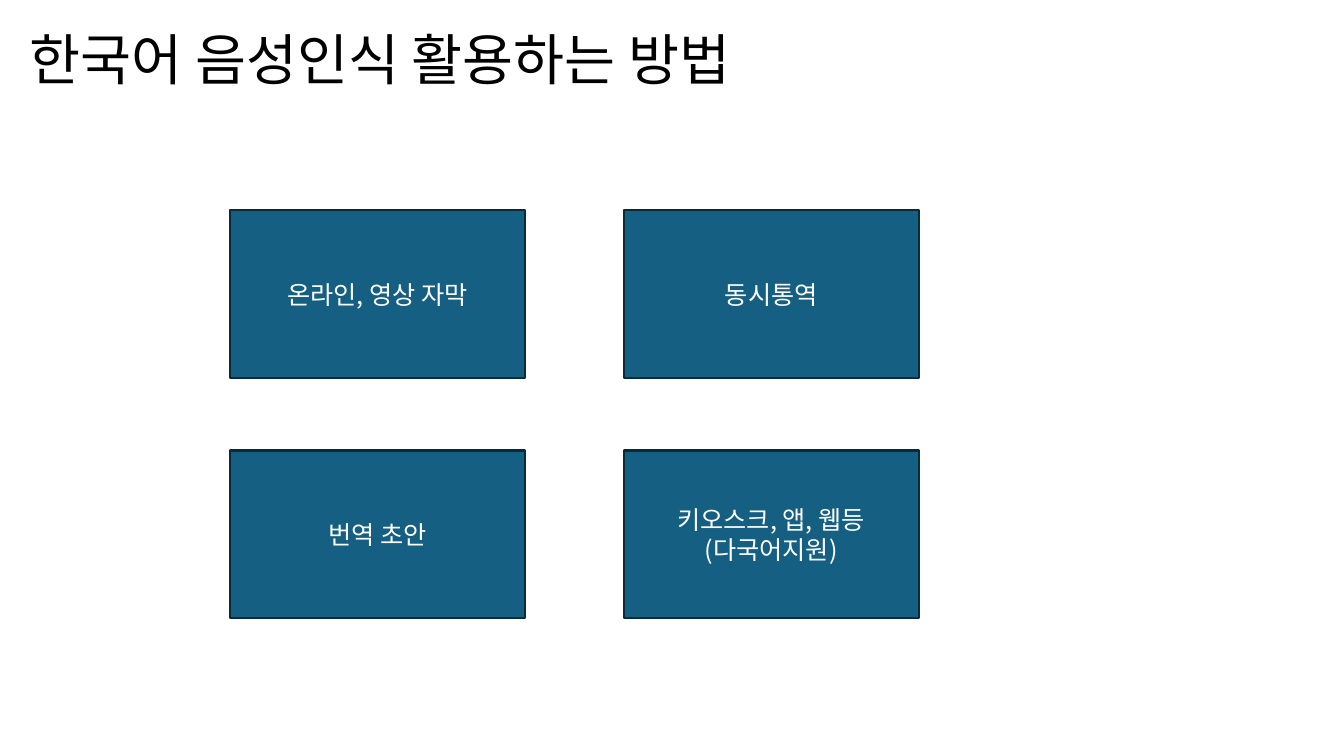
from dataclasses import dataclass

from lxml.etree import SubElement
from pptx import Presentation
from pptx.dml.color import RGBColor
from pptx.enum.shapes import MSO_SHAPE
from pptx.enum.text import MSO_ANCHOR, PP_ALIGN
from pptx.oxml.ns import qn
from pptx.slide import Slide
from pptx.text.text import TextFrame
from pptx.util import Emu, Pt

EMU_PER_PX = 9525


@dataclass(frozen=True)
class Theme:
    font: str = "Noto Sans CJK KR"
    title_color: str = "000000"
    card_fill: str = "156082"
    card_line: str = "092A39"
    card_text: str = "FFFFFF"
    title_size: float = 39.6
    card_size: float = 18
    card_line_width: float = 1.5


@dataclass(frozen=True)
class Card:
    column: int
    row: int
    text: str


THEME = Theme()

# Card grid, in px
GRID_LEFT, GRID_TOP = 219, 200
CARD_WIDTH, CARD_HEIGHT = 281, 160
COLUMN_STEP, ROW_STEP = 375, 229

TITLE = "한국어 음성인식 활용하는 방법"
CARDS = [
    Card(0, 0, "온라인, 영상 자막"),
    Card(0, 1, "번역 초안"),
    Card(1, 0, "동시통역"),
    Card(1, 1, "키오스크, 앱, 웹등\n(다국어지원)"),
]


def px(length: int) -> Emu:
    return Emu(length * EMU_PER_PX)


def write_text(frame: TextFrame, text: str, *, size: float, color: str,
               align: PP_ALIGN = PP_ALIGN.LEFT, line_spacing: float = 1.0) -> None:
    frame.word_wrap = True
    frame.vertical_anchor = MSO_ANCHOR.MIDDLE
    paragraph = frame.paragraphs[0]
    paragraph.text = text
    paragraph.alignment = align
    paragraph.line_spacing = line_spacing
    for run in paragraph.runs:
        run.font.size = Pt(size)
        run.font.color.rgb = RGBColor.from_string(color)
        run.font.name = THEME.font
        # Hangul takes the East Asian typeface
        SubElement(run.font._element, qn("a:ea"), typeface=THEME.font)


def add_title(slide: Slide) -> None:
    box = slide.shapes.add_textbox(px(19), px(24), px(963), px(71))
    write_text(box.text_frame, TITLE, size=THEME.title_size,
               color=THEME.title_color, line_spacing=0.9)


def add_card(slide: Slide, card: Card) -> None:
    shape = slide.shapes.add_shape(
        MSO_SHAPE.RECTANGLE,
        px(GRID_LEFT + card.column * COLUMN_STEP),
        px(GRID_TOP + card.row * ROW_STEP),
        px(CARD_WIDTH), px(CARD_HEIGHT))
    shape.shadow.inherit = False
    shape.fill.solid()
    shape.fill.fore_color.rgb = RGBColor.from_string(THEME.card_fill)
    shape.line.color.rgb = RGBColor.from_string(THEME.card_line)
    shape.line.width = Pt(THEME.card_line_width)
    write_text(shape.text_frame, card.text, size=THEME.card_size,
               color=THEME.card_text, align=PP_ALIGN.CENTER)


def main() -> None:
    presentation = Presentation()
    presentation.slide_width, presentation.slide_height = px(1280), px(720)
    slide = presentation.slides.add_slide(presentation.slide_layouts[6])

    # Title
    add_title(slide)

    # Uses of speech recognition
    for card in CARDS:
        add_card(slide, card)

    presentation.save("out.pptx")


if __name__ == "__main__":
    main()
